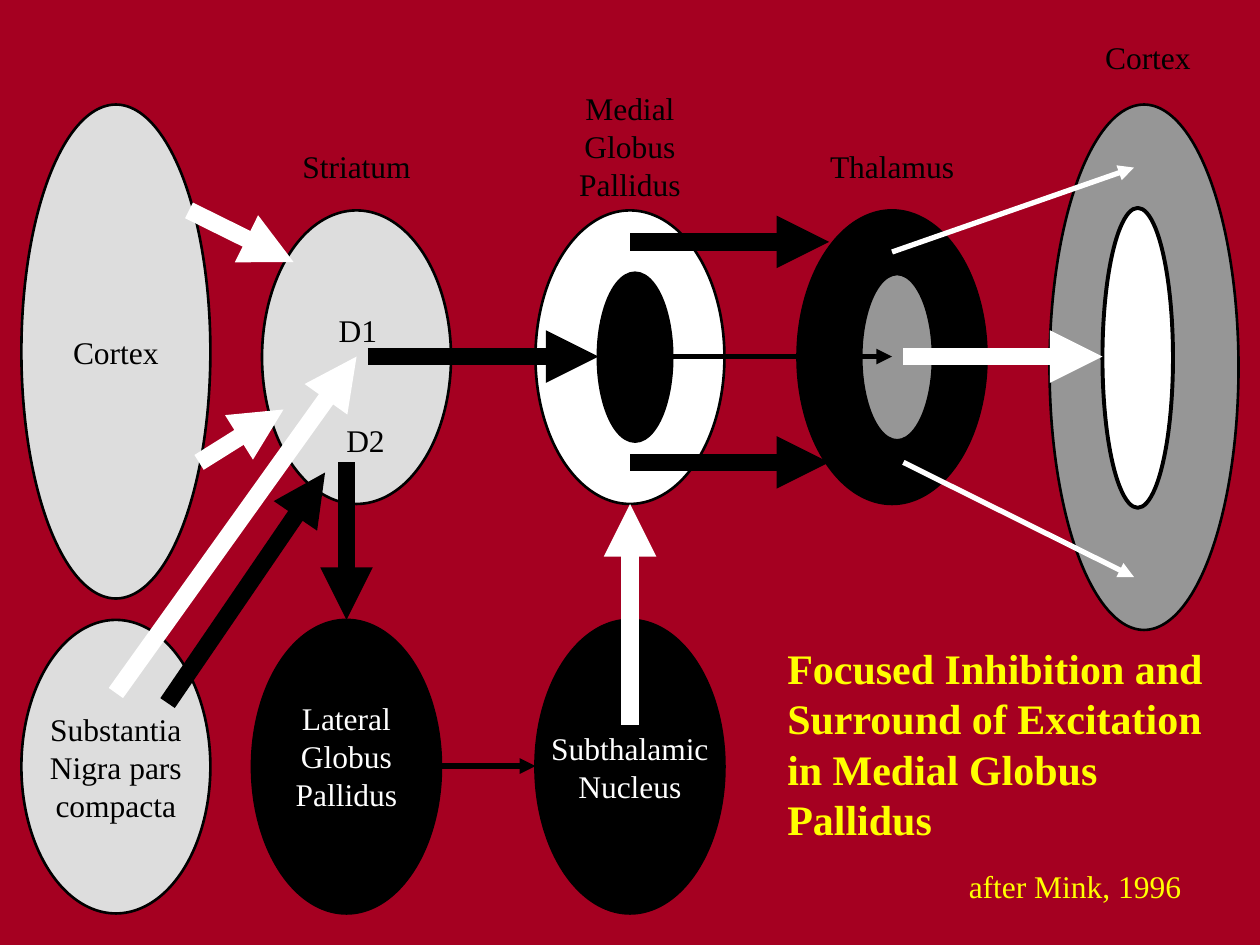
from pptx import Presentation
from pptx.dml.color import RGBColor
from pptx.enum.shapes import MSO_CONNECTOR as Wire, MSO_SHAPE as Shape
from pptx.enum.text import MSO_ANCHOR as Anchor, MSO_AUTO_SIZE as Fit, PP_ALIGN as Align
from pptx.oxml.ns import qn
from pptx.util import Inches, Pt
from lxml.etree import SubElement

RED = RGBColor(0xA5, 0x00, 0x21)
BLACK = RGBColor(0x00, 0x00, 0x00)
WHITE = RGBColor(0xFF, 0xFF, 0xFF)
PALE = RGBColor(0xDD, 0xDD, 0xDD)
GRAY = RGBColor(0x96, 0x96, 0x96)
YELLOW = RGBColor(0xFF, 0xFF, 0x00)
FONT = "Times New Roman"
WIDE, TALL = 1.5, 2.33
THICK, THIN = 10, 3


def write(frame, text, size=18, color=BLACK, bold=False, align=Align.CENTER, anchor=Anchor.TOP):
    """Fill a text frame with one paragraph for each line of text."""
    frame.word_wrap = False
    frame.vertical_anchor = anchor
    for row, line in enumerate(text.split("\n")):
        para = frame.add_paragraph() if row else frame.paragraphs[0]
        para.alignment = align
        run = para.add_run()
        run.text = line
        font = run.font
        font.name, font.size, font.bold = FONT, Pt(size), bold
        font.color.rgb = color


def label(slide, box, text, **form):
    """Add a text box that fits its text."""
    frame = slide.shapes.add_textbox(*map(Inches, box)).text_frame
    write(frame, text, **form)
    frame.auto_size = Fit.SHAPE_TO_FIT_TEXT


def oval(slide, box, fill, text="", color=BLACK, edge=1.5):
    """Add an outlined oval, with its name when given."""
    shape = slide.shapes.add_shape(Shape.OVAL, *map(Inches, box))
    shape.shadow.inherit = False
    shape.fill.solid()
    shape.fill.fore_color.rgb = fill
    shape.line.color.rgb = BLACK
    shape.line.width = Pt(edge)
    if text:
        write(shape.text_frame, text, color=color, anchor=Anchor.MIDDLE)


def ring(slide, box, outer, inner, core=(0.5, 0.5, 0.58, 1.33)):
    """Draw a nucleus whose focus is placed from its top left corner."""
    x, y = box[:2]
    dx, dy, w, h = core
    oval(slide, box, outer)
    oval(slide, (x + dx, y + dy, w, h), inner, edge=2.25)


def arrow(slide, start, end, color, width=THICK):
    """Draw a straight arrow between two points."""
    wire = slide.shapes.add_connector(Wire.STRAIGHT, *map(Inches, (*start, *end)))
    wire.line.color.rgb = color
    wire.line.width = Pt(width)
    SubElement(wire.line._get_or_add_ln(), qn("a:tailEnd"), type="triangle")
    SubElement(wire._element.spPr, qn("a:effectLst"))


def upper(slide, x, y):
    """Place the upper row of nuclei, from cortex back to cortex."""
    oval(slide, (x, y, WIDE, 3.92), PALE, "Cortex")
    oval(slide, (x + 1.91, y + 0.84, WIDE, TALL), PALE)
    ring(slide, (x + 4.08, y + 0.84, WIDE, TALL), WHITE, BLACK)
    ring(slide, (x + 6.16, y + 0.84, WIDE, TALL), BLACK, GRAY)
    ring(slide, (x + 8.16, y, WIDE, 4.17), GRAY, WHITE, (0.42, 0.82, 0.56, 2.38))


def lower(slide, x, y):
    """Place the lower row of nuclei."""
    oval(slide, (x, y, WIDE, TALL), PALE, "Substantia\nNigra pars\ncompacta")
    oval(slide, (x + 1.83, y, WIDE, TALL), BLACK)
    oval(slide, (x + 4.08, y, WIDE, TALL), BLACK, "Subthalamic\nNucleus", WHITE)


def paths(slide, x, y):
    """Draw the links between nuclei from the top left of the network."""
    links = [
        ((2.75, 2), (4.58, 2), BLACK, THICK),
        ((4.83, 4.92), (4.83, 3.17), WHITE, THICK),
        ((2.58, 2.84), (2.58, 4.09), BLACK, THICK),
        ((2.5, 5.25), (4.08, 5.25), BLACK, THIN),
        ((4.83, 2), (6.91, 2), BLACK, THIN),
        ((7, 2), (8.58, 2), WHITE, THICK),
        ((4.83, 2.84), (6.41, 2.84), BLACK, THICK),
        ((4.83, 1.09), (6.41, 1.09), BLACK, THICK),
        ((7, 2.84), (8.83, 3.75), WHITE, THIN),
        ((6.91, 1.17), (8.83, 0.5), WHITE, THIN),
        ((1.33, 0.84), (2.16, 1.25), WHITE, THICK),
        ((1.41, 2.84), (2.08, 2.42), WHITE, THICK),
        ((1.16, 4.75), (2.41, 2.92), BLACK, THICK),
        ((0.75, 4.67), (2.66, 2), WHITE, THICK),
    ]
    for (x1, y1), (x2, y2), color, width in links:
        arrow(slide, (x + x1, y + y1), (x + x2, y + y2), color, width)


def names(slide, x, y):
    """Name the nuclei and the two receptors."""
    label(slide, (x + 0.29, y + 2.17, 0.54, 0.4), "D1", align=Align.LEFT)
    label(slide, (x + 0.35, y + 3.04, 0.54, 0.4), "D2", align=Align.LEFT)
    label(slide, (x - 0.07, y + 5.25, 1.04, 1), "Lateral\nGlobus\nPallidus", color=WHITE)
    label(slide, (x - 0.02, y + 0.87, 1.1, 0.4), "Striatum")
    label(slide, (x + 2.18, y + 0.41, 1.04, 1), "Medial\nGlobus\nPallidus")
    label(slide, (x + 4.17, y + 0.87, 1.22, 0.4), "Thalamus")
    label(slide, (x + 6.35, y, 0.92, 0.4), "Cortex")


def title(slide, x, y):
    """Place the title and its source line."""
    text = "Focused Inhibition and\nSurround of Excitation\nin Medial Globus\nPallidus"
    form = {"color": YELLOW, "align": Align.LEFT}
    label(slide, (x, y, 3.54, 1.7), text, size=24, bold=True, **form)
    label(slide, (x + 1.44, y + 1.78, 1.92, 0.4), "after Mink, 1996", **form)


def main():
    """Build and save the slide."""
    deck = Presentation()
    deck.slide_width, deck.slide_height = Inches(10), Inches(7.5)
    slide = deck.slides.add_slide(deck.slide_layouts[6])
    slide.background.fill.solid()
    slide.background.fill.fore_color.rgb = RED
    upper(slide, 0.17, 0.83)
    lower(slide, 0.17, 4.92)
    paths(slide, 0.17, 0.83)
    names(slide, 2.3, 0.25)
    title(slide, 6.15, 5.05)
    deck.save("out.pptx")


if __name__ == "__main__":
    main()
